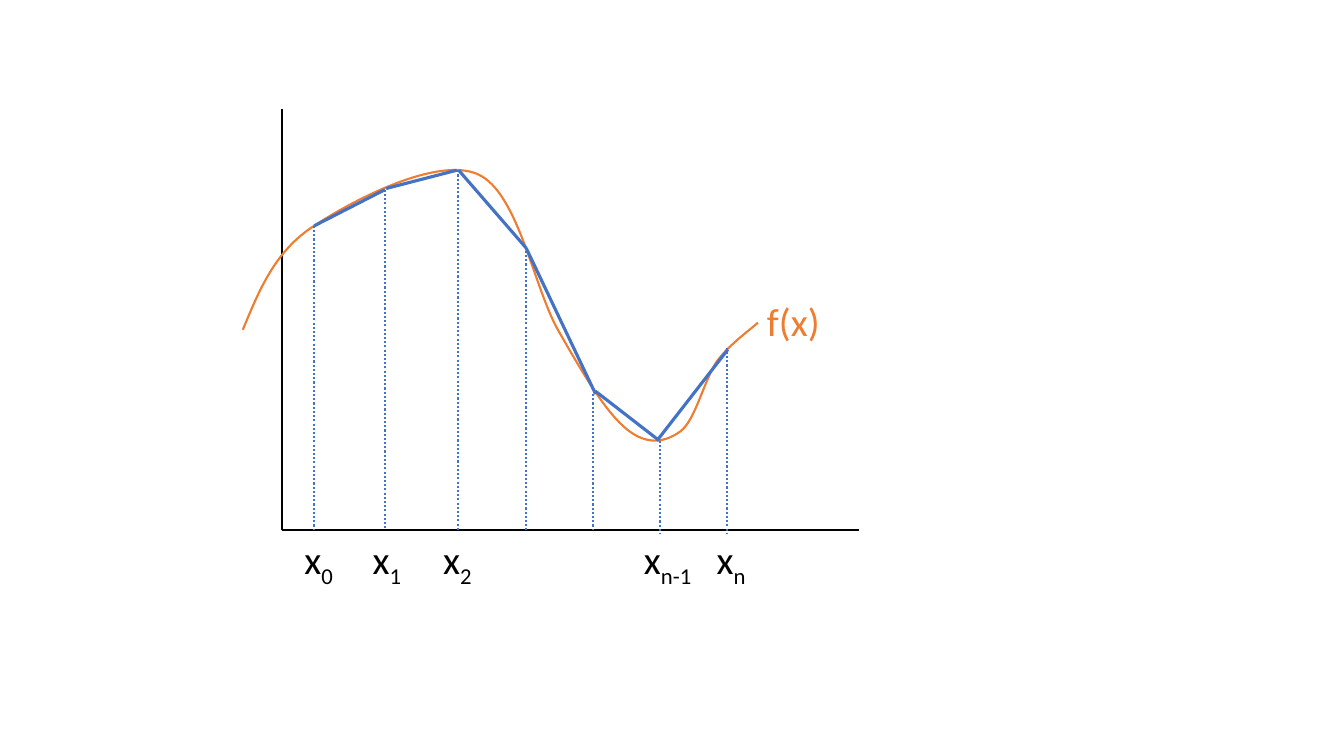
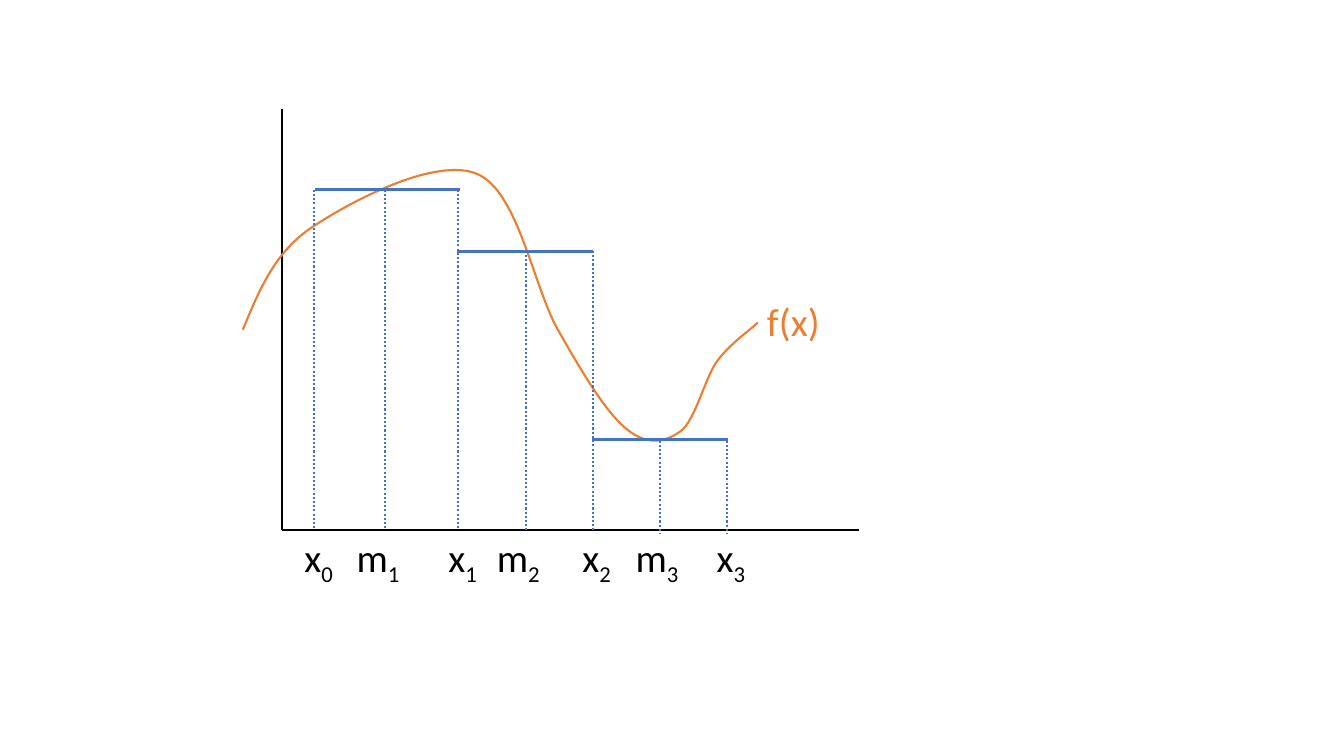
from pptx import Presentation
from pptx.dml.color import RGBColor
from pptx.enum.dml import MSO_LINE
from pptx.enum.shapes import MSO_CONNECTOR
from pptx.enum.text import MSO_AUTO_SIZE
from pptx.oxml.ns import qn
from pptx.util import Cm, Pt
from lxml import etree

STRAIGHT = MSO_CONNECTOR.STRAIGHT
DOTTED = MSO_LINE.ROUND_DOT
FIT_SHAPE = MSO_AUTO_SIZE.SHAPE_TO_FIT_TEXT
BLACK = RGBColor(0x00, 0x00, 0x00)
BLUE = RGBColor(0x44, 0x72, 0xC4)
ORANGE = RGBColor(0xED, 0x7D, 0x31)
FONT = "Calibri"

# Shared geometry in centimetres
AXIS_X, AXIS_TOP, AXIS_Y, AXIS_RIGHT = 7.11, 2.76, 13.36, 21.64
GRID = [7.92, 9.70, 11.54, 13.26, 14.94, 16.64, 18.33]
GRID_BOTTOMS = [AXIS_Y] * 5 + [13.44] * 2
CURVE_LEFT, CURVE_TOP, CURVE_RIGHT, CURVE_BOTTOM = 6.12, 4.29, 19.10, 11.10
CURVE_START = (CURVE_LEFT, 8.31)
# Each segment: two control points and an end point
CURVE_SEGMENTS = [
    ((6.53, 7.32), (6.93, 6.32), (7.92, 5.69)),
    ((8.92, 5.03), (11.02, 3.94), (12.04, 4.39)),
    ((13.08, 4.85), (13.46, 7.32), (14.10, 8.38)),
    ((14.71, 9.45), (15.27, 10.39), (15.80, 10.82)),
    ((16.31, 11.23), (16.76, 11.15), (17.15, 10.87)),
    ((17.53, 10.59), (17.75, 9.55), (18.08, 9.09)),
    ((18.42, 8.64), (18.95, 8.28), (CURVE_RIGHT, 8.13)),
]

DIAGRAMS = [
    # Trapezoid rule: chords along the curve
    {
        "grid_tops": [5.69, 4.78, 4.29, 6.32, 9.93, 11.10, 8.76],
        "approximation": [
            ((7.92, 5.69), (9.70, 4.78)), ((9.73, 4.75), (11.51, 4.29)),
            ((11.56, 4.29), (13.26, 6.25)), ((13.26, 6.25), (15.01, 9.93)),
            ((15.01, 9.86), (16.61, 11.10)), ((16.56, 11.10), (18.34, 8.81)),
        ],
        "label_top": 13.36,
        "labels": [("x", "0", 7.42), ("x", "1", 9.14), ("x", "2", 10.92),
                   ("x", "n-1", 15.98), ("x", "n", 17.81)],
    },
    # Midpoint rule: one level for each pair of grid intervals
    {
        "grid_tops": [4.78, 4.78, 4.78, 6.32, 6.32, 11.10, 11.10],
        "approximation": [
            ((7.95, 4.78), (11.58, 4.78)), ((11.51, 6.33), (14.94, 6.33)),
            ((14.91, 11.08), (18.34, 11.08)),
        ],
        "label_top": 13.31,
        "labels": [("x", "0", 7.42), ("m", "1", 8.74), ("x", "1", 11.05),
                   ("m", "2", 12.27), ("x", "2", 14.43), ("m", "3", 15.77),
                   ("x", "3", 17.81)],
    },
]
LABEL_WIDTHS = {"x": 1.30, "m": 1.98}


def add_line(slide, start, end, color, width=1.5, dash=None):
    connector = slide.shapes.add_connector(
        STRAIGHT, Cm(start[0]), Cm(start[1]), Cm(end[0]), Cm(end[1]))
    connector.line.color.rgb = color
    connector.line.width = Pt(width)
    if dash is not None:
        connector.line.dash_style = dash
    etree.SubElement(connector._element.spPr, qn("a:effectLst"))


def add_label(slide, left, top, width, color, text, subscript=""):
    box = slide.shapes.add_textbox(Cm(left), Cm(top), Cm(width), Cm(1.45))
    box.text_frame.word_wrap = True
    box.text_frame.auto_size = FIT_SHAPE
    paragraph = box.text_frame.paragraphs[0]
    for content, baseline in ((text, None), (subscript, "-25000")):
        if content:
            run = paragraph.add_run()
            run.text = content
            run.font.name = FONT
            run.font.size = Pt(28)
            run.font.color.rgb = color
            if baseline:
                run.font._element.set("baseline", baseline)


presentation = Presentation()
presentation.slide_width = Cm(33.87)
presentation.slide_height = Cm(19.05)
blank_layout = presentation.slide_layouts[6]

for diagram in DIAGRAMS:
    slide = presentation.slides.add_slide(blank_layout)

    # Axes
    add_line(slide, (AXIS_X, AXIS_TOP), (AXIS_X, AXIS_Y), BLACK)
    add_line(slide, (AXIS_RIGHT, AXIS_Y), (AXIS_X, AXIS_Y), BLACK)

    # Function curve: the corners set its frame, then Bézier segments replace them
    builder = slide.shapes.build_freeform(Cm(CURVE_START[0]), Cm(CURVE_START[1]))
    builder.add_line_segments([(Cm(CURVE_LEFT), Cm(CURVE_TOP)),
                               (Cm(CURVE_RIGHT), Cm(CURVE_BOTTOM))], close=False)
    curve = builder.convert_to_shape()
    outline = next(curve._element.iter(qn("a:path")))
    for corner in outline.findall(qn("a:lnTo")):
        outline.remove(corner)
    for segment in CURVE_SEGMENTS:
        bezier = etree.SubElement(outline, qn("a:cubicBezTo"))
        for x, y in segment:
            point = etree.SubElement(bezier, qn("a:pt"))
            point.set("x", str(Cm(x) - Cm(CURVE_LEFT)))
            point.set("y", str(Cm(y) - Cm(CURVE_TOP)))
    curve.shadow.inherit = False
    curve.fill.background()
    curve.line.color.rgb = ORANGE
    curve.line.width = Pt(1.5)

    # Dotted verticals
    for x, top, bottom in zip(GRID, diagram["grid_tops"], GRID_BOTTOMS):
        add_line(slide, (x, top), (x, bottom), BLUE, dash=DOTTED)

    # Approximating lines
    for start, end in diagram["approximation"]:
        add_line(slide, start, end, BLUE, width=2.25)

    # Function name and labels below the axis
    add_label(slide, 19.08, 7.37, 2.54, ORANGE, "f(x)")
    for letter, subscript, left in diagram["labels"]:
        width = 1.83 if len(subscript) > 1 else LABEL_WIDTHS[letter]
        add_label(slide, left, diagram["label_top"], width, BLACK, letter, subscript)

presentation.save("out.pptx")
